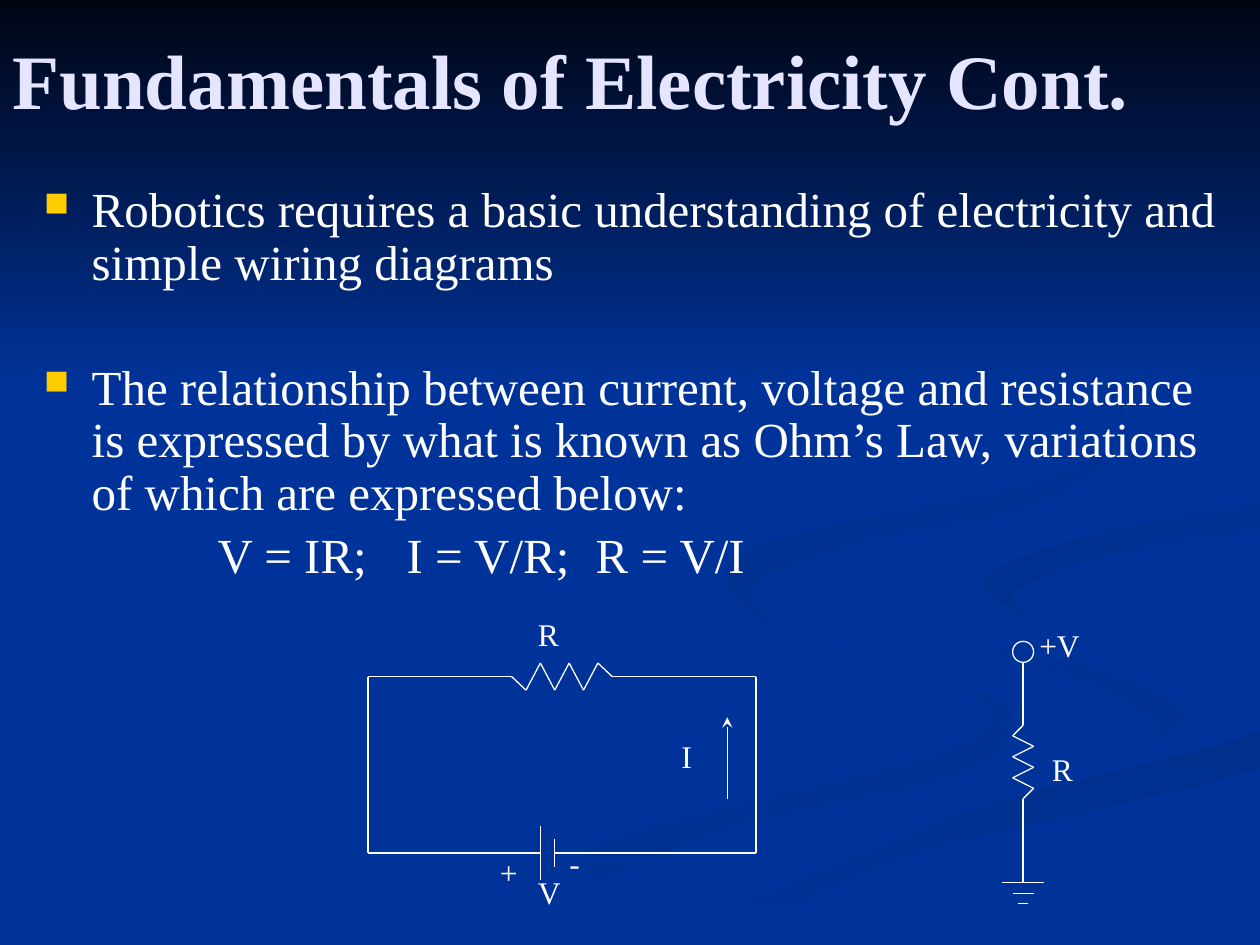
from dataclasses import dataclass
from itertools import pairwise

from pptx import Presentation
from pptx.dml.color import RGBColor
from pptx.enum.shapes import MSO_CONNECTOR, MSO_SHAPE
from pptx.enum.text import MSO_ANCHOR
from pptx.oxml.ns import qn
from pptx.util import Inches, Pt
from lxml.etree import SubElement

BLUE = RGBColor(0x00, 0x33, 0x99)
DARK_BLUE = RGBColor(0x00, 0x2F, 0x8C)
DEEP_BLUE = RGBColor(0x00, 0x31, 0x93)
NIGHT = RGBColor(0x00, 0x05, 0x14)
LAVENDER = RGBColor(0xE5, 0xE5, 0xFF)
WHITE = RGBColor(0xFF, 0xFF, 0xFF)
GOLD = RGBColor(0xFF, 0xCC, 0x00)
WIDTH, HEIGHT = 10, 7.5


@dataclass
class Grid:
    left: float
    top: float
    column: float
    row: float

    def at(self, column, row):
        return (Inches(self.left + column * self.column),
                Inches(self.top + row * self.row))

    def size(self, columns, rows):
        return Inches(columns * self.column), Inches(rows * self.row)


PAGE = Grid(0, 0, 1, 1)
CIRCUIT = Grid(2.92, 5.37, 3.08 / 27, 1.4 / 13)
BRANCH = Grid(8.12, 5.09, 1 / 12, 1 / 12)

WAVES = [
    ([(7.8, 5.5), (6.4, 5.1), (5.75, 4.6), (6.3, 5.05), (7.8, 5.55), (7.4, 6), (5, 6.6),
      (3, 7.5), (3.6, 7.5), (5.6, 6.65), (7.6, 6.15), (8, 5.8)], BLUE, DEEP_BLUE, 0),
    ([(9.4, 5.65), (8.7, 5.3), (7.6, 5), (7.25, 4.65), (7.65, 5.1), (8.7, 5.45),
      (9.2, 5.8), (8.95, 6.05)], BLUE, DEEP_BLUE, 315),
    ([(5, 7.5), (5.7, 7.5), (7.2, 6.8), (10, 6.1), (10, 5.8), (7.65, 6.45)],
     DARK_BLUE, BLUE, 270),
    ([(7.25, 4.65), (7.9, 5.1), (9.05, 5.4), (9.4, 5.8), (7.4, 6.45), (4.8, 7.5),
      (5.2, 7.45), (7.65, 6.45), (10, 5.8), (10, 5.4), (8.2, 4.9), (7.8, 4.6),
      (8.65, 4.25), (10, 4), (10, 3.85), (8.1, 4.15)], BLUE, BLUE, 0),
    ([(7.8, 4.6), (8.25, 4.95), (8.05, 4.7), (8.8, 4.4), (10, 4.2), (10, 4), (8.65, 4.25)],
     DARK_BLUE, BLUE, 315),
    ([(6.85, 4.3), (8.25, 4), (8.95, 3.4), (8.4, 2.75), (7.6, 2.35), (8.5, 2.8),
      (8.9, 3.35), (8.3, 3.8), (6.25, 4.25), (5.75, 4.6), (6.2, 5), (5.95, 4.65)],
     DARK_BLUE, BLUE, 315),
]


def rounded(points, steps=5):
    curve = []
    for index, start in enumerate(points):
        before, end = points[index - 1], points[(index + 1) % len(points)]
        after = points[(index + 2) % len(points)]
        for step in range(steps):
            t = step / steps
            x, y = (b + t / 2 * (c - a + t * (2 * a - 5 * b + 4 * c - d
                                              + t * (3 * (b - c) + d - a)))
                    for a, b, c, d in zip(before, start, end, after))
            curve.append((min(x, WIDTH), min(y, HEIGHT)))
    return curve


def write(para, text, size=18, color=WHITE, bold=False, left=0, hanging=0,
          before=0, spacing=None, bullet=None):
    span = para.add_run()
    span.text = text
    span.font.name = "Times New Roman"
    span.font.size = Pt(size)
    span.font.bold = bold
    span.font.color.rgb = color
    para.space_before = Pt(before)
    para.line_spacing = spacing
    properties = para._p.get_or_add_pPr()
    properties.set("marL", str(Inches(left)))
    properties.set("indent", str(-Inches(hanging)))
    if bullet:
        tint = SubElement(properties, qn("a:buClr"))
        SubElement(tint, qn("a:srgbClr")).set("val", str(GOLD))
        SubElement(properties, qn("a:buSzPct")).set("val", "70000")
        SubElement(properties, qn("a:buChar")).set("char", bullet)


class Painter:
    def __init__(self, page, line_color=WHITE, line_width=0.75):
        self.page = page
        self.shapes = page.shapes
        self.line_color = line_color
        self.line_width = Pt(line_width)

    def background(self, color):
        fill = self.page.background.fill
        fill.solid()
        fill.fore_color.rgb = color

    def shade(self, shape, first, last, angle):
        shape.shadow.inherit = False
        shape.line.fill.background()
        shape.fill.gradient()
        shape.fill.gradient_angle = angle
        for stop, color, position in zip(shape.fill.gradient_stops, (first, last), (0, 1)):
            stop.color.rgb = color
            stop.position = position

    def wave(self, points, first, last, angle):
        start, *rest = [PAGE.at(*point) for point in rounded(points)]
        builder = self.shapes.build_freeform(*start)
        builder.add_line_segments(rest, close=True)
        self.shade(builder.convert_to_shape(), first, last, angle)

    def band(self, columns, rows, first, last, angle):
        shape = self.shapes.add_shape(
            MSO_SHAPE.RECTANGLE, *PAGE.at(0, 0), *PAGE.size(columns, rows))
        self.shade(shape, first, last, angle)

    def text(self, column, row, columns, rows, anchor=MSO_ANCHOR.TOP):
        box = self.shapes.add_textbox(*PAGE.at(column, row), *PAGE.size(columns, rows))
        box.text_frame.word_wrap = True
        box.text_frame.vertical_anchor = anchor
        return box.text_frame

    def label(self, text, column, row):
        write(self.text(column, row, 0.57, 0.4).paragraphs[0], text)

    def wire(self, grid, *points, arrow=None):
        for start, end in pairwise(points):
            line = self.shapes.add_connector(
                MSO_CONNECTOR.STRAIGHT, *grid.at(*start), *grid.at(*end))
            line.line.color.rgb = self.line_color
            line.line.width = self.line_width
            SubElement(line._element.spPr, qn("a:effectLst"))
            if arrow:
                SubElement(line.line._get_or_add_ln(), qn("a:tailEnd")).set("type", arrow)

    def terminal(self, grid, column, row, diameter):
        shape = self.shapes.add_shape(
            MSO_SHAPE.OVAL, *grid.at(column, row), *grid.size(diameter, diameter))
        shape.shadow.inherit = False
        shape.fill.background()
        shape.line.color.rgb = self.line_color
        shape.line.width = self.line_width


def main():
    deck = Presentation()
    deck.slide_width, deck.slide_height = PAGE.size(WIDTH, HEIGHT)
    painter = Painter(deck.slides.add_slide(deck.slide_layouts[6]))
    painter.background(BLUE)
    for wave in WAVES:
        painter.wave(*wave)
    painter.band(WIDTH, 3.08, NIGHT, BLUE, 270)

    title = painter.text(0, 0, WIDTH, 1.25, MSO_ANCHOR.MIDDLE)
    write(title.paragraphs[0], "Fundamentals of Electricity Cont.", 44, LAVENDER, True)
    body = painter.text(0.25, 1.42, 9.5, 3.5)
    point = {"size": 28, "spacing": 0.9, "left": 0.38, "hanging": 0.38, "bullet": "■"}
    write(body.paragraphs[0], "Robotics requires a basic understanding of electricity "
          "and simple wiring diagrams", **point)
    write(body.add_paragraph(), "The relationship between current, voltage and resistance "
          "is expressed by what is known as Ohm’s Law, variations of which are "
          "expressed below:", before=41, **point)
    write(body.add_paragraph(), "V = IR; \tI = V/R; \tR = V/I", 28,
          spacing=0.9, left=1.38, before=5.6)

    peaks = [(11 + step, -1 if step % 2 else 1) for step in range(6)]
    painter.wire(CIRCUIT, (12, 13), (0, 13), (0, 0), (10, 0), *peaks,
                 (17, 0), (27, 0), (27, 13), (13, 13))
    painter.wire(CIRCUIT, (12, 11), (12, 15))
    painter.wire(CIRCUIT, (13, 12), (13, 14))
    painter.wire(CIRCUIT, (25, 9), (25, 3), arrow="stealth")

    painter.terminal(BRANCH, -1, 0, 2)
    peaks = [(1 if step % 2 else -1, 9 + step) for step in range(6)]
    painter.wire(BRANCH, (0, 2), (0, 8), *peaks, (0, 15), (0, 23))
    for row, reach in ((23, 2), (24, 1), (25, 0.5)):
        painter.wire(BRANCH, (-reach, row), (reach, row))

    for label in (("R", 4.17, 4.83), ("V", 4.17, 6.88), ("I", 5.31, 5.8), ("+V", 8.15, 4.92),
                  ("R", 8.25, 5.9), ("+", 3.87, 6.72), ("-", 4.42, 6.65)):
        painter.label(*label)
    deck.save("out.pptx")


if __name__ == "__main__":
    main()
